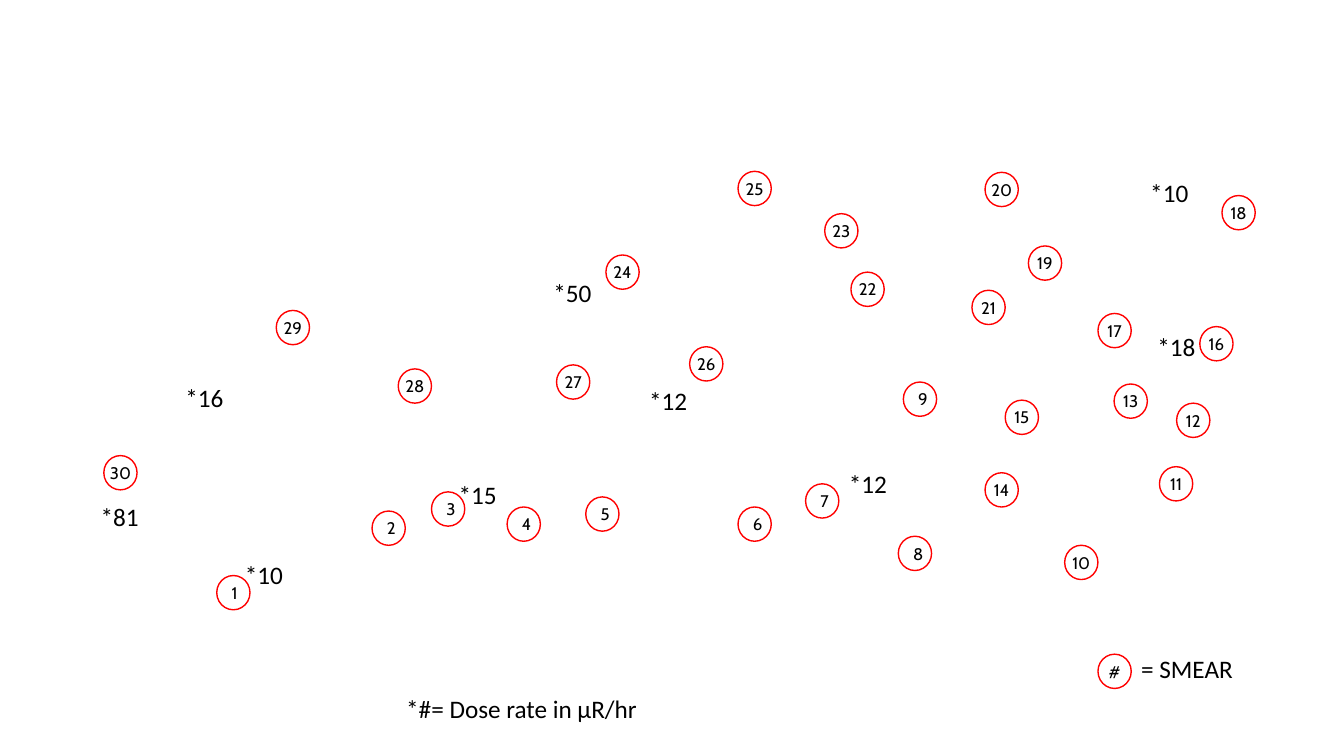
"""Build the survey map slide with numbered smear points and dose rates."""
from typing import NamedTuple

from pptx import Presentation
from pptx.dml.color import RGBColor
from pptx.enum.shapes import MSO_SHAPE as Shape
from pptx.enum.text import MSO_ANCHOR as Anchor, MSO_AUTO_SIZE as AutoSize, PP_ALIGN as Align
from pptx.util import Pt

EMU_PER_PX = 9144
SMEAR_WIDTH, SMEAR_HEIGHT = 33, 34
LABEL_HEIGHT = 40
DOSE_WIDTH = 58
RED, BLACK = "FF0000", "000000"


class Label(NamedTuple):
    text: str
    left: int
    top: int
    width: int = DOSE_WIDTH


SMEAR_POSITIONS = [
    (215, 571), (369, 507), (428, 488), (503, 503), (581, 493),
    (732, 503), (799, 480), (891, 532), (896, 379), (1056, 541),
    (1150, 463), (1167, 400), (1105, 381), (977, 469), (997, 397),
    (1190, 324), (1089, 311), (1212, 194), (1020, 244), (977, 171),
    (964, 288), (844, 270), (818, 212), (601, 253), (732, 170),
    (684, 344), (552, 362), (395, 366), (274, 308), (103, 452),
]
SMEARS = [
    Label(str(number), left, top, SMEAR_WIDTH)
    for number, (left, top) in enumerate(SMEAR_POSITIONS, start=1)
]
LEGEND_SMEAR = Label("#", 1089, 649, SMEAR_WIDTH)
LABELS = [
    Label("= SMEAR", 1122, 643, 124),
    Label("*#= Dose rate in μR/hr", 393, 683, 252),
    Label("*81", 90, 492),
    Label("*50", 539, 270),
    Label("*10", 1131, 171),
    Label("*12", 634, 377),
    Label("*18", 1138, 324),
    Label("*16", 174, 374),
    Label("*15", 445, 471),
    Label("*12", 832, 460),
    Label("*10", 233, 550),
]


def px(length: int) -> int:
    """Convert px to EMU."""
    return length * EMU_PER_PX


def color(value: str) -> RGBColor:
    """Turn a hex string into a colour."""
    return RGBColor.from_string(value)


def write_text(shape, text: str, *, font: str, size: int, align=Align.LEFT,
               anchor=Anchor.TOP, wrap: bool = True, side_inset: int = 10) -> None:
    """Write one formatted paragraph into a shape."""
    frame = shape.text_frame
    frame.word_wrap = wrap
    frame.vertical_anchor = anchor
    frame.margin_left = frame.margin_right = px(side_inset)
    paragraph = frame.paragraphs[0]
    paragraph.alignment = align
    run = paragraph.add_run()
    run.text = text
    run.font.name = font
    run.font.size = Pt(size)
    run.font.color.rgb = color(BLACK)


def add_smear(slide, smear: Label) -> None:
    """Draw a red circle holding a smear number."""
    circle = slide.shapes.add_shape(
        Shape.OVAL, px(smear.left), px(smear.top), px(smear.width), px(SMEAR_HEIGHT))
    circle.shadow.inherit = False
    circle.fill.background()
    circle.line.color.rgb = color(RED)
    circle.line.width = Pt(1)
    is_single_digit = smear.text.isdigit() and len(smear.text) == 1
    write_text(circle, smear.text, font="Cabin", size=12, align=Align.CENTER,
               anchor=Anchor.MIDDLE, side_inset=10 if is_single_digit else 0)


def add_label(slide, label: Label) -> None:
    """Draw a dose rate or legend text."""
    box = slide.shapes.add_textbox(
        px(label.left), px(label.top), px(label.width), px(LABEL_HEIGHT))
    write_text(box, label.text, font="Calibri", size=18, wrap=False)
    box.text_frame.auto_size = AutoSize.SHAPE_TO_FIT_TEXT


def main() -> None:
    """Build and save the presentation."""
    presentation = Presentation()
    presentation.slide_width = px(1333)
    presentation.slide_height = px(750)
    slide = presentation.slides.add_slide(presentation.slide_layouts[6])
    for smear in [*SMEARS, LEGEND_SMEAR]:
        add_smear(slide, smear)
    for label in LABELS:
        add_label(slide, label)
    presentation.save("out.pptx")


if __name__ == "__main__":
    main()
